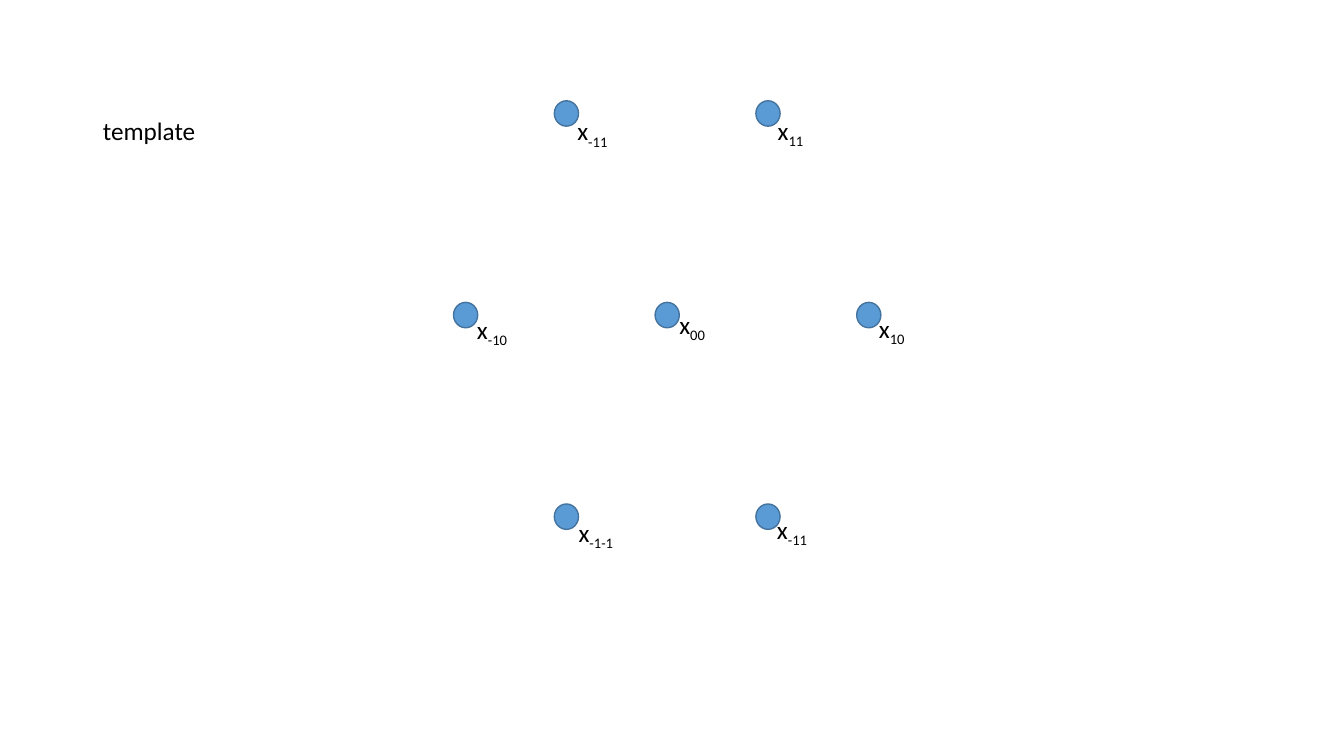
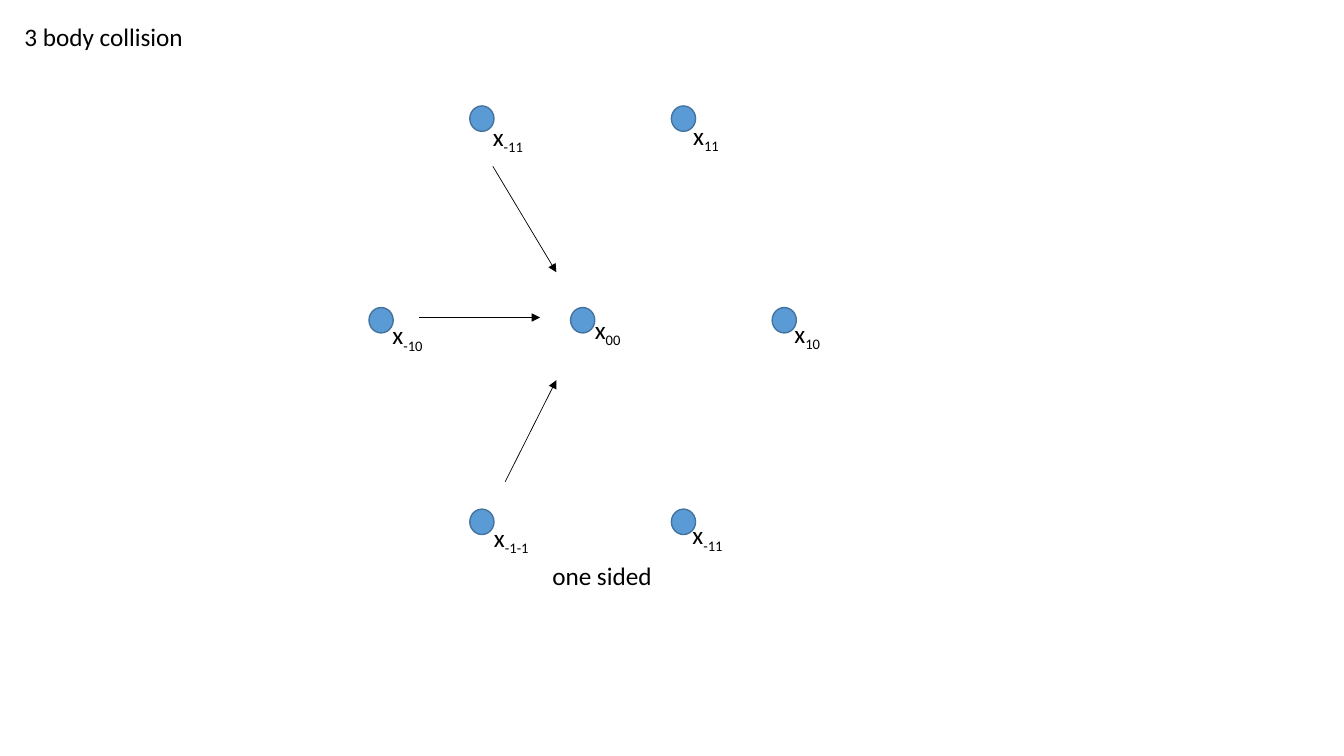
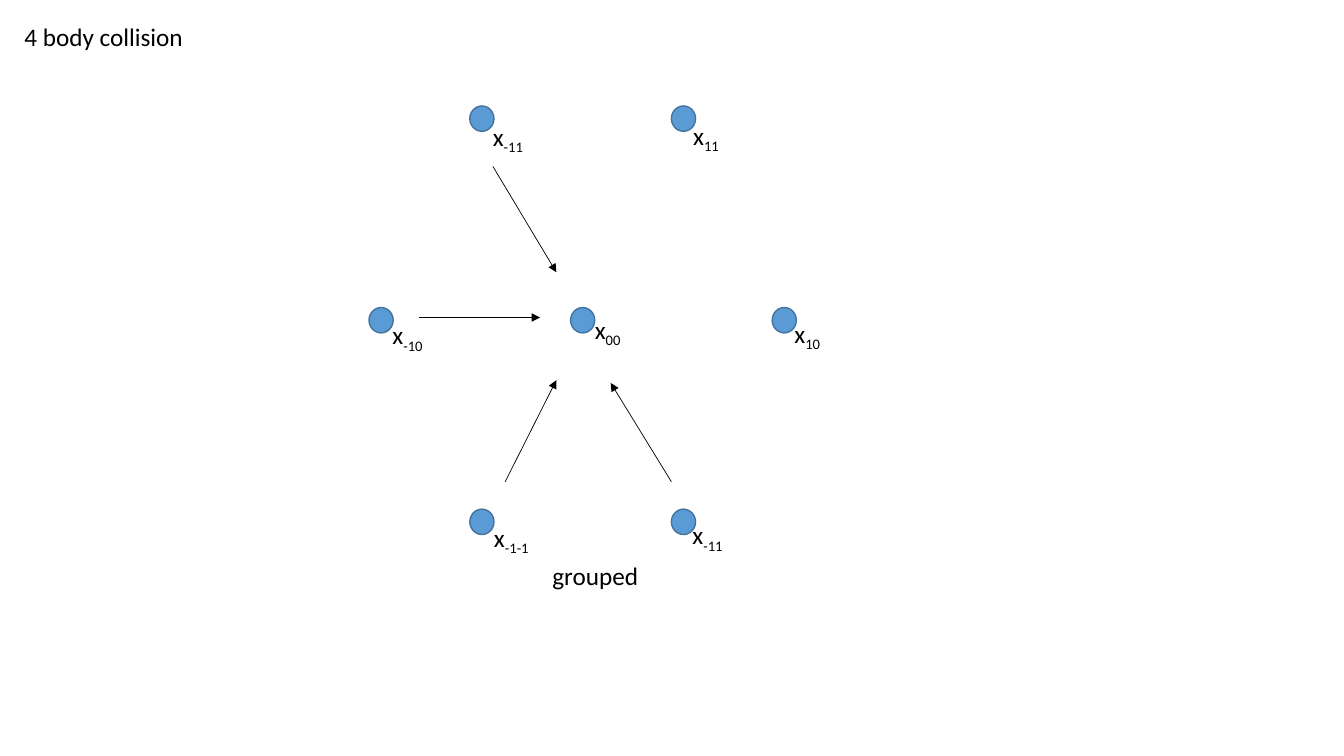
from lxml import etree
from pptx import Presentation
from pptx.dml.color import RGBColor
from pptx.enum.shapes import MSO_CONNECTOR as Link, MSO_SHAPE as Kind
from pptx.enum.text import MSO_ANCHOR as Anchor, MSO_AUTO_SIZE as Fit, PP_ALIGN as Align
from pptx.oxml.ns import qn
from pptx.util import Cm, Pt

# Shared look
BLUE, EDGE, BLACK = "5B9BD5", "43739E", "000000"
STEP = 5.08
LINE = 1.02

# Lattice sites: column, row, index, label offset from the dot
SITES = [
    (1, 0, "10", 0.31, 0.14),
    (0, 0, "00", 0.36, 0.05),
    (-0.5, 1, "-1-1", 0.36, 0.2),
    (0.5, 1, "-11", 0.28, 0.14),
    (-1, 0, "-10", 0.34, 0.18),
    (0.5, -1, "11", 0.3, 0.23),
    (-0.5, -1, "-11", 0.33, 0.25),
]

# Arrows towards the centre: start x, y, end x, y
THREE = [
    (10.57, 8, 13.61, 8),
    (12.42, 4.19, 14.02, 6.86),
    (12.73, 12.14, 14.02, 9.58),
]
FOUR = THREE + [(16.92, 12.14, 15.39, 9.65)]

# Slides: title, its left, top and width, centre dot, arrows, caption, its width
SLIDES = [
    ("template", 2.34, 2.77, 2.87, (16.51, 7.62), [], "", 0),
    ("3 body collision", 0.36, 0.41, 4.55, (14.38, 7.75), THREE, "one sided", 3.12),
    ("4 body collision", 0.36, 0.41, 4.55, (14.38, 7.75), FOUR, "grouped", 2.69),
]


def tint(code):
    return RGBColor.from_string(code)


def write(box, x, y, w, text, sub="", wrap=False):
    box.left, box.top, box.width, box.height = Cm(x), Cm(y), Cm(w), Cm(LINE)
    frame = box.text_frame
    frame.word_wrap = wrap
    frame.auto_size = Fit.SHAPE_TO_FIT_TEXT
    frame.vertical_anchor = Anchor.TOP
    para = frame.paragraphs[0]
    para.alignment = Align.LEFT
    for part in filter(None, (text, sub)):
        run = para.add_run()
        run.text = part
        run.font.name = "Calibri"
        run.font.size = Pt(18)
        run.font.color.rgb = tint(BLACK)
    if sub:
        run.font._element.set("baseline", "-25000")


deck = Presentation()
deck.slide_width, deck.slide_height = Cm(33.87), Cm(19.05)

for title, left, top, width, (mid_x, mid_y), arrows, note, span in SLIDES:
    slide = deck.slides.add_slide(deck.slide_layouts[5])
    shapes = slide.shapes
    write(shapes.title, left, top, width, title)

    # Dots and their labels
    for col, row, index, dx, dy in SITES:
        x, y = mid_x + col * STEP, mid_y + row * STEP
        dot = shapes.add_shape(Kind.OVAL, Cm(x), Cm(y), Cm(0.61), Cm(0.64))
        dot.shadow.inherit = False
        dot.fill.solid()
        dot.fill.fore_color.rgb = tint(BLUE)
        dot.line.color.rgb = tint(EDGE)
        dot.line.width = Pt(1)
        label = shapes.add_textbox(0, 0, 0, 0)
        write(label, x + dx, y + dy, 1.5, "x", index, wrap=True)

    # Arrows
    for ends in arrows:
        arrow = shapes.add_connector(Link.STRAIGHT, *map(Cm, ends))
        arrow.line.color.rgb = tint(BLACK)
        arrow.line.width = Pt(0.5)
        tip = etree.SubElement(arrow.line._get_or_add_ln(), qn("a:tailEnd"))
        tip.set("type", "triangle")
        etree.SubElement(arrow._element.spPr, qn("a:effectLst"))

    # Caption
    if note:
        write(shapes.add_textbox(0, 0, 0, 0), 13.67, 14, span, note)

deck.save("out.pptx")
